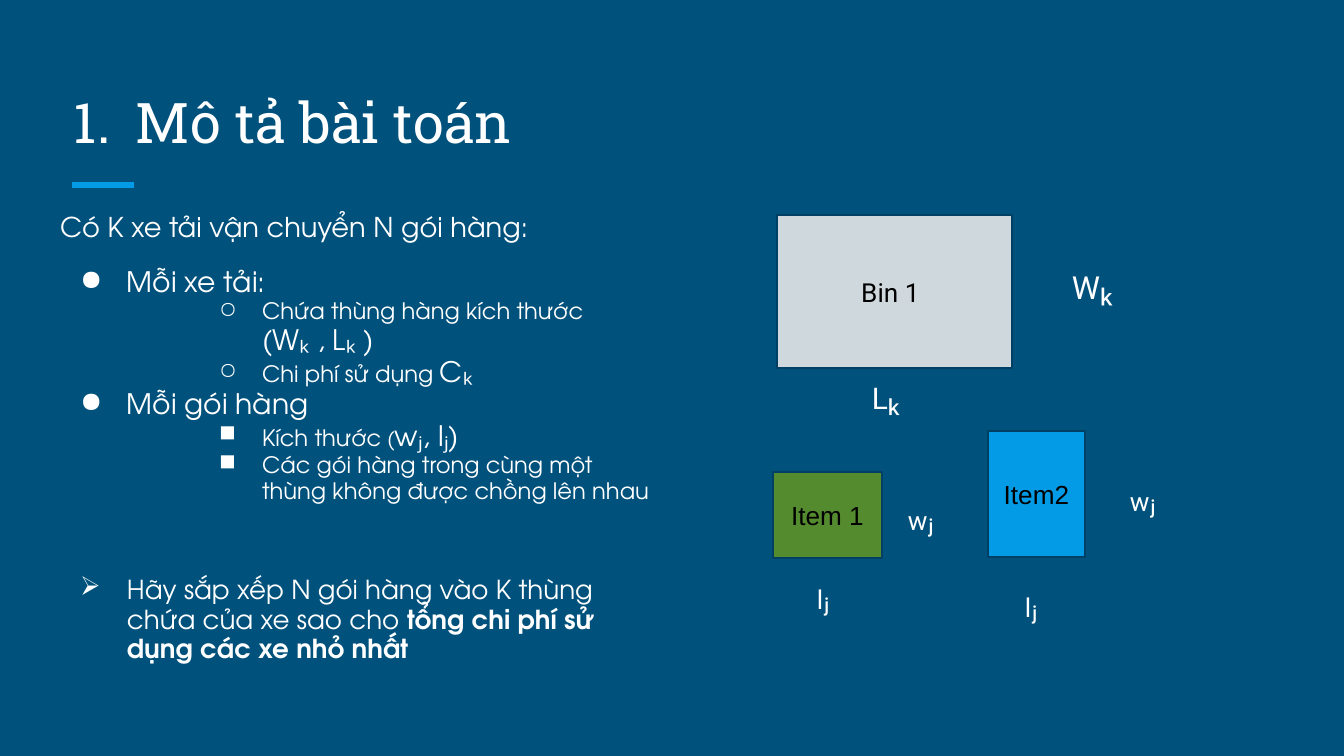
"""Build the slide that states the truck packing problem."""
from lxml.etree import SubElement
from pptx import Presentation
from pptx.dml.color import RGBColor
from pptx.enum.shapes import MSO_CONNECTOR, MSO_SHAPE
from pptx.enum.text import MSO_ANCHOR, PP_ALIGN
from pptx.oxml.ns import qn
from pptx.util import Emu, Pt

COLORS = {
    "back": "00517C", "white": "FFFFFF", "black": "000000", "edge": "004065",
    "blue": "039BE5", "green": "558B2F", "grey": "CFD8DC",
}
SLAB, BODY, LABEL, PLAIN = "Roboto Slab", "TeX Gyre Adventor", "Roboto", "Arial"
SIZE = (1344, 756)
INSET = 13

TITLE = ("Mô tả bài toán", (56, 67, 1230, 101))
ACCENT = (72, 185, 134, 185)
BODY_BOX = (47, 200, 618, 464)
INDENTS = {0: (67, -47), 1: (202, -43), 2: (202, -43)}

# level, bullet, space before, runs of (text, size, bold)
PARAGRAPHS = [
    (0, None, 0, [("Có K xe tải vận chuyển N gói hàng:", 14.6, False)]),
    (0, "●", 12, [("Mỗi xe tải:", 15.1, False)]),
    (1, "○", 0, [("Chứa thùng hàng kích thước ", 12.1, False), ("(Wₖ , Lₖ )", 15.1, False)]),
    (1, "○", 0, [("Chi phí sử dụng ", 12.1, False), ("Cₖ", 15.1, False)]),
    (0, "●", 0, [("Mỗi gói hàng", 15.1, False)]),
    (2, "■", 0, [("Kích thước", 12.1, False), (" (", 11.1, False), ("wⱼ, lⱼ)", 15.1, False)]),
    (2, "■", 0, [("Các gói hàng trong cùng một thùng không được chồng lên nhau", 12.1, False)]),
    (0, "➢", 38, [("Hãy sắp xếp N gói hàng vào K thùng chứa của xe sao cho ", 14, False),
                  ("tổng chi phí sử dụng các xe nhỏ nhất", 14, True)]),
]
RECTANGLES = [
    ("", "grey", (777, 215, 235, 153)),
    ("Item 1", "green", (773, 472, 109, 86)),
    ("Item2", "blue", (988, 431, 97, 126)),
]
LABELS = [
    ("Bin 1", 14, "black", PP_ALIGN.CENTER, 1, (836, 263, 109, 59)),
    ("Wₖ", 17, "white", PP_ALIGN.LEFT, 1.15, (1059, 249, 82, 66)),
    ("Lₖ", 16, "white", PP_ALIGN.LEFT, 1, (859, 367, 102, 63)),
    ("wⱼ", 14, "white", PP_ALIGN.LEFT, 1, (895, 491, 82, 59)),
    ("lⱼ", 14, "white", PP_ALIGN.LEFT, 1, (804, 570, 69, 59)),
    ("wⱼ", 14, "white", PP_ALIGN.LEFT, 1, (1117, 472, 82, 59)),
    ("lⱼ", 14, "white", PP_ALIGN.LEFT, 1, (1012, 578, 69, 59)),
]


def px(length):
    return Emu(round(length * 914400 / 134.4))


def color(name):
    return RGBColor.from_string(COLORS[name])


def style(font, name, size, tone, bold=False):
    font.name, font.size, font.bold = name, Pt(size), bold
    font.color.rgb = color(tone)


def prepare(frame, anchor=MSO_ANCHOR.TOP):
    frame.word_wrap = True
    frame.vertical_anchor = anchor
    frame.margin_left = frame.margin_right = px(INSET)
    frame.margin_top = frame.margin_bottom = px(INSET)


def add_bullet(para, left, hanging, tag, **marks):
    properties = para._p.get_or_add_pPr()
    properties.set("marL", str(px(left)))
    properties.set("indent", str(px(hanging)))
    tone = SubElement(properties, qn("a:buClr"))
    SubElement(tone, qn("a:srgbClr"), val=COLORS["white"])
    SubElement(properties, qn(tag), **marks)


def add_text(page, place):
    box = page.shapes.add_textbox(*map(px, place))
    prepare(box.text_frame)
    return box.text_frame


def add_title(page):
    text, place = TITLE
    title = page.shapes.title
    title.left, title.top, title.width, title.height = map(px, place)
    title.text_frame.text = text
    prepare(title.text_frame, MSO_ANCHOR.BOTTOM)
    para = title.text_frame.paragraphs[0]
    add_bullet(para, 67, -62, "a:buAutoNum", type="arabicPeriod")
    para.alignment = PP_ALIGN.LEFT
    style(para.runs[0].font, SLAB, 30, "white")
    line = page.shapes.add_connector(MSO_CONNECTOR.STRAIGHT, *map(px, ACCENT))
    line.line.color.rgb, line.line.width = color("blue"), Pt(3)
    SubElement(line._element.spPr, qn("a:effectLst"))


def add_body(page):
    frame = add_text(page, BODY_BOX)
    for index, (level, bullet, before, runs) in enumerate(PARAGRAPHS):
        para = frame.add_paragraph() if index else frame.paragraphs[0]
        if bullet:
            add_bullet(para, *INDENTS[level], "a:buChar", char=bullet)
        para.level, para.line_spacing, para.space_before = level, 0.95, Pt(before)
        for text, size, bold in runs:
            span = para.add_run()
            span.text = text
            style(span.font, BODY, size, "white", bold)


def add_diagram(page):
    for text, fill, place in RECTANGLES:
        shape = page.shapes.add_shape(MSO_SHAPE.RECTANGLE, *map(px, place))
        shape.shadow.inherit = False
        shape.fill.solid()
        shape.fill.fore_color.rgb = color(fill)
        shape.line.color.rgb, shape.line.width = color("edge"), Pt(0.75)
        if text:
            prepare(shape.text_frame, MSO_ANCHOR.MIDDLE)
            shape.text_frame.text = text
            para = shape.text_frame.paragraphs[0]
            para.alignment = PP_ALIGN.CENTER
            style(para.runs[0].font, PLAIN, 14, "black")
    for text, size, tone, alignment, spacing, place in LABELS:
        frame = add_text(page, place)
        frame.text = text
        para = frame.paragraphs[0]
        para.alignment, para.line_spacing = alignment, spacing
        style(para.runs[0].font, LABEL, size, tone)


def main():
    deck = Presentation()
    deck.slide_width, deck.slide_height = map(px, SIZE)
    page = deck.slides.add_slide(deck.slide_layouts[5])
    page.background.fill.solid()
    page.background.fill.fore_color.rgb = color("back")
    add_title(page)
    add_body(page)
    add_diagram(page)
    deck.save("out.pptx")


if __name__ == "__main__":
    main()
